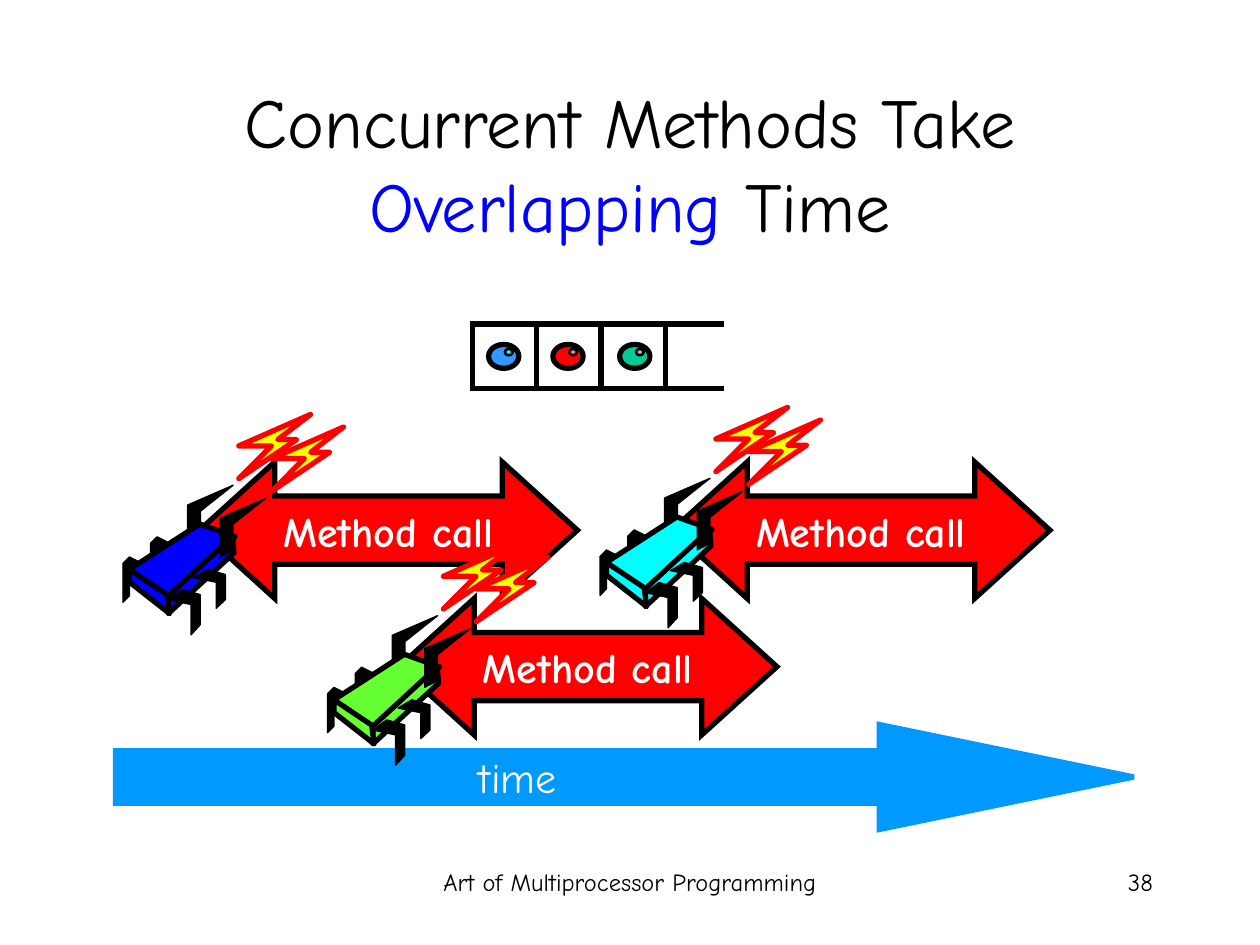
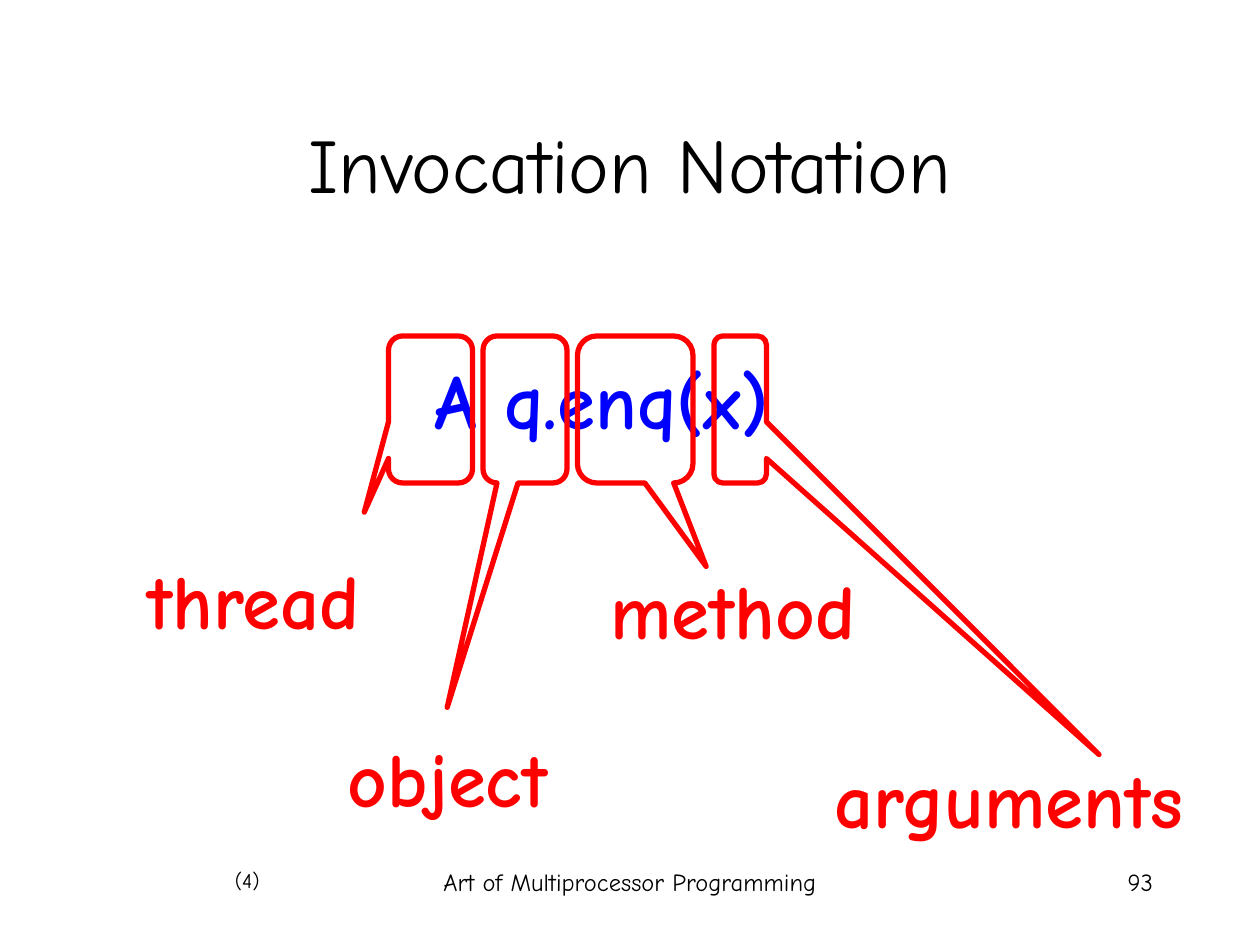
from lxml.etree import SubElement
from pptx import Presentation
from pptx.dml.color import RGBColor
from pptx.enum.shapes import MSO_CONNECTOR, MSO_SHAPE
from pptx.enum.text import MSO_ANCHOR, PP_ALIGN
from pptx.oxml.ns import qn
from pptx.util import Pt

FONT = "Comic Neue"
FOOTER = "Art of Multiprocessor Programming"
COLORS = {
    "black": "000000", "white": "FFFFFF", "red": "FF0000", "blue": "0000FF",
    "yellow": "FFFF00", "cyan": "00FFFF", "lime": "66FF33", "sky": "0099FF",
    "ball blue": "3399FF", "ball green": "00CC99", "pink": "FF7C80", "grey": "B2B2B2",
}

# Slide 1: left and top of each call arrow
CALL_LABEL = "Method call"
CALL_SIZE = (216, 78)
FIRST_CALL, LATER_CALLS = (114, 264), [(384, 264), (228, 342)]

# Queue: ball colour, highlight colour, ball left within its cell
QUEUE_LEFT, QUEUE_TOP, CELL = 270, 185.2, 36.75
QUEUE_BALLS = [
    ("ball blue", "cyan", 9.2), ("red", "pink", 9.2), ("ball green", "grey", 10.6),
]

# Spiders: body colour, left, top
SPIDERS = [("blue", 70.3, 236.8), ("cyan", 342.9, 232.8), ("lime", 187.2, 311.3)]
BOLT = [(0, 36.7), (18.7, 18), (0, 18), (41, 0), (22.3, 14.4), (33.1, 14.4)]
ANTENNA = [(0, 33.5), (7.3, 29.7), (7.3, 14.9), (26, 0), (0, 11.3)]
LEFT_LEG = [(11, 3.7), (3.7, 0), (0, 3.7), (0, 25.9), (3.7, 22.2), (3.7, 7.4), (11, 11)]
FRONT_LEG = [(7.9, 0), (0, 5.8), (13, 8.6), (13, 25.9), (18.2, 20.2), (18.2, 2.9)]
REAR_LEG = [(7.9, 0), (0, 4.7), (13, 7.4), (13, 22.2), (18.2, 17.3), (18.2, 2.9)]
BODY_TOP = [(43.9, 62.6), (3.6, 88.6), (25.9, 104.4), (64.1, 69.8)]
BODY_SIDE = [(62.6, 69.8), (25.9, 103.7), (25.9, 113.8), (63.4, 79.2)]
BODY_FRONT = [(3.6, 88.6), (3.6, 95.8), (26.6, 113.8), (25.2, 103)]

# Outline, left, top, fill, line, line width; "body" stands for the spider's own colour
LIMB, PANEL, FLASH = ("black", "black", 0.75), ("body", "black", 3), ("yellow", "red", 3)
SPIDER_PARTS = [
    (BOLT, 66.2, 0, *FLASH),
    (ANTENNA, 36.9, 40.5, *LIMB),
    (LEFT_LEG, 0, 81.5, *LIMB),
    (LEFT_LEG, 15.8, 70, *LIMB),
    (BODY_TOP, 0, 0, *PANEL),
    (BODY_SIDE, 0, 0, *PANEL),
    (BODY_FRONT, 0, 0, *PANEL),
    (FRONT_LEG, 25.9, 100.1, *LIMB),
    (REAR_LEG, 40.3, 88.6, *LIMB),
    (ANTENNA, 55.5, 48, *LIMB),
    (BOLT, 85, 7.2, *FLASH),
]

# Slide 2: callout left, width, pointer x and y; label, label box left, top, width
CALLOUT_TOP, CALLOUT_HEIGHT, LABEL_HEIGHT = 192, 84, 60.5
CALLOUTS = [
    (222, 48, -0.789, 0.699, "thread", 74, 312, 138.5),
    (276, 48, -0.927, 2.027, "object", 189, 414, 131),
    (330, 66, 0.614, 1.068, "method", 339.5, 318, 156.5),
    (408, 30, 6.838, 2.348, "arguments", 466.5, 426, 217),
]


def color(name):
    return RGBColor.from_string(COLORS[name])


def points(*lengths):
    return [Pt(length) for length in lengths]


def add_runs(frame, runs, size, align, bold=False):
    paragraph = frame.paragraphs[0]
    paragraph.alignment = align
    for text, name in runs:
        run = paragraph.add_run()
        run.text = text
        run.font.name = FONT
        run.font.size = Pt(size)
        run.font.bold = bold
        run.font.color.rgb = color(name)


def add_text(slide, box, runs, size, align=PP_ALIGN.RIGHT, bold=False, wrap=False,
             anchor=MSO_ANCHOR.TOP):
    frame = slide.shapes.add_textbox(*points(*box)).text_frame
    frame.word_wrap = wrap
    frame.vertical_anchor = anchor
    add_runs(frame, runs, size, align, bold)


def style(shape, fill, line, width, miter=False):
    shape.shadow.inherit = False
    if fill:
        shape.fill.solid()
        shape.fill.fore_color.rgb = color(fill)
    else:
        shape.fill.background()
    shape.line.color.rgb = color(line)
    shape.line.width = Pt(width)
    if miter:
        SubElement(shape.line._get_or_add_ln(), qn("a:miter"), lim="800000")


def add_preset(slide, kind, box, fill, line, width=3, adjustments=(), miter=True):
    shape = slide.shapes.add_shape(kind, *points(*box))
    for index, value in enumerate(adjustments):
        shape.adjustments[index] = value
    style(shape, fill, line, width, miter)
    return shape


def add_call(slide, left, top):
    arrow = add_preset(slide, MSO_SHAPE.LEFT_RIGHT_ARROW, (left, top, *CALL_SIZE),
                       "red", "black", adjustments=(0.5, 0.551))
    arrow.text_frame.word_wrap = False
    arrow.text_frame.vertical_anchor = MSO_ANCHOR.MIDDLE
    add_runs(arrow.text_frame, [(CALL_LABEL, "white")], 24, PP_ALIGN.CENTER, bold=True)


def add_queue(slide):
    for index, (ball, highlight, inset) in enumerate(QUEUE_BALLS):
        cell_left = QUEUE_LEFT + index * CELL
        ball_left = cell_left + inset
        add_preset(slide, MSO_SHAPE.OVAL, (ball_left, 196.8, 17.3, 13.7), ball, "black",
                   miter=False)
        add_preset(slide, MSO_SHAPE.OVAL, (ball_left + 9.4, 199.4, 4.3, 3.6),
                   highlight, "black", 1.5, miter=False)
        add_preset(slide, MSO_SHAPE.RECTANGLE, (cell_left, QUEUE_TOP, CELL, CELL),
                   None, "black")
    for y in (QUEUE_TOP, QUEUE_TOP + CELL):
        edge = slide.shapes.add_connector(MSO_CONNECTOR.STRAIGHT, *points(377.3, y, 413.8, y))
        edge.line.color.rgb = color("black")
        edge.line.width = Pt(3)
        SubElement(edge._element.spPr, qn("a:effectLst"))


def add_spider(slide, body, left, top):
    for outline, part_left, part_top, fill, line, width in SPIDER_PARTS:
        start, *rest = [points(left + part_left + x, top + part_top + y) for x, y in outline]
        builder = slide.shapes.build_freeform(*start)
        builder.add_line_segments(rest, close=True)
        style(builder.convert_to_shape(), body if fill == "body" else fill, line, width)


def add_slide(presentation, number, title, title_size):
    """Add a blank slide with the shared footer, page number and title."""
    slide = presentation.slides.add_slide(presentation.slide_layouts[6])
    add_text(slide, (246, 492, 228, 36), [(FOOTER, "black")], 14, PP_ALIGN.CENTER, wrap=True)
    add_text(slide, (516, 492, 150, 36), [(number, "black")], 14, wrap=True)
    add_text(slide, (54, 48, 612, 90), title, title_size, PP_ALIGN.CENTER, wrap=True,
             anchor=MSO_ANCHOR.MIDDLE)
    return slide


def build_overlap_slide(presentation):
    title = [("Concurrent Methods Take ", "black"), ("Overlapping", "blue"), (" Time", "black")]
    slide = add_slide(presentation, "38", title, 40)
    add_preset(slide, MSO_SHAPE.RIGHT_ARROW, (66, 414, 582, 60), "sky", "sky",
               adjustments=(0.5, 2.425))
    add_text(slide, (266, 426, 59, 36), [("time", "white")], 24)
    add_call(slide, *FIRST_CALL)
    add_queue(slide)
    for position in LATER_CALLS:
        add_call(slide, *position)
    for spider in SPIDERS:
        add_spider(slide, *spider)


def build_notation_slide(presentation):
    slide = add_slide(presentation, "93", [("Invocation Notation", "black")], 44)
    add_text(slide, (239, 198, 207.8, LABEL_HEIGHT), [("A q.enq(x)", "blue")], 44, bold=True)
    for left, width, tip_x, tip_y, label, label_left, label_top, label_width in CALLOUTS:
        add_preset(slide, MSO_SHAPE.ROUNDED_RECTANGULAR_CALLOUT,
                   (left, CALLOUT_TOP, width, CALLOUT_HEIGHT), None, "red",
                   adjustments=(tip_x, tip_y, 0.167), miter=False)
        add_text(slide, (label_left, label_top, label_width, LABEL_HEIGHT),
                 [(label, "red")], 44, bold=True)
    add_text(slide, (125, 492, 30.5, 21.6), [("(4)", "black")], 12)


def main():
    presentation = Presentation()
    presentation.slide_width, presentation.slide_height = points(720, 540)
    build_overlap_slide(presentation)
    build_notation_slide(presentation)
    presentation.save("out.pptx")


if __name__ == "__main__":
    main()
